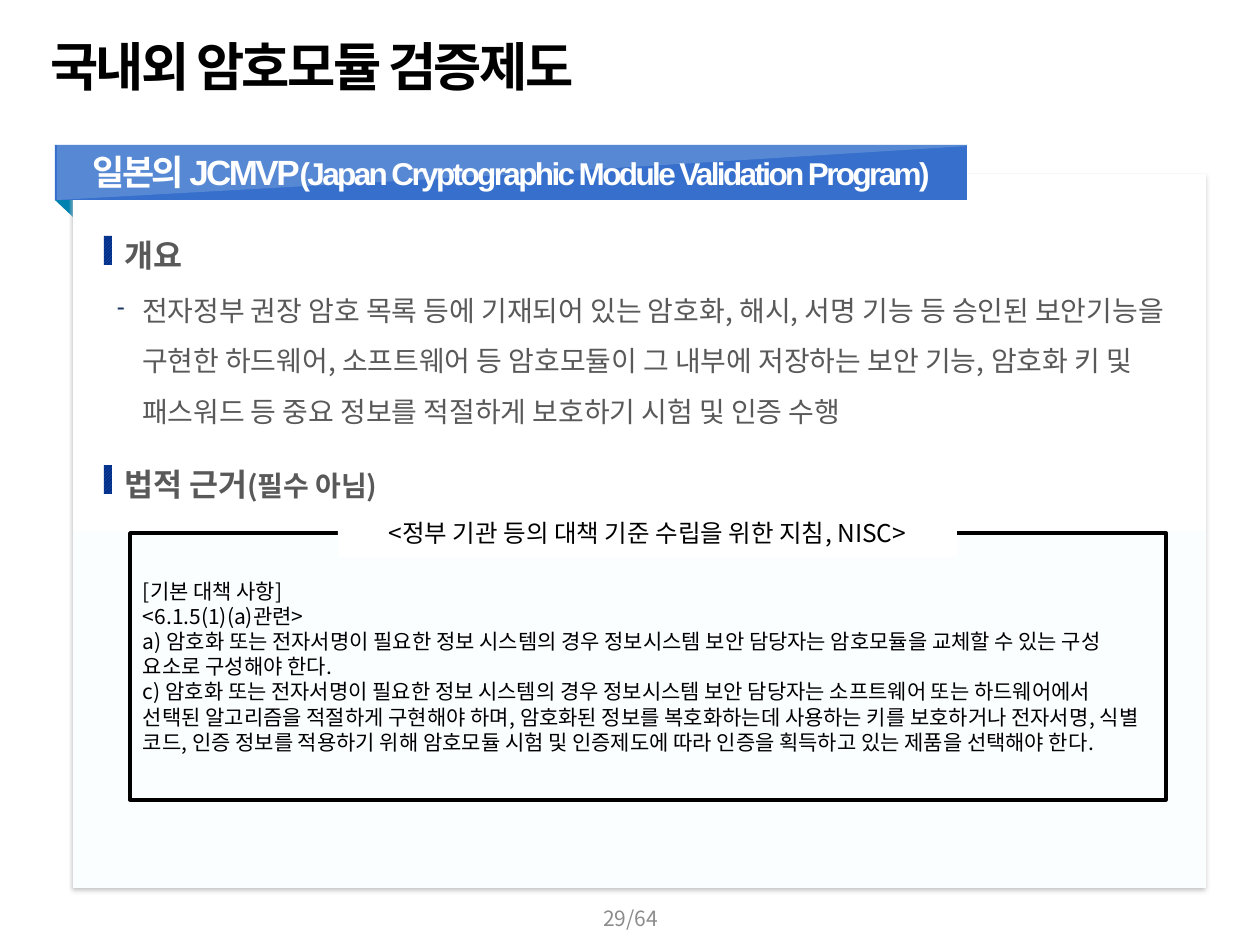
from lxml import etree
from pptx import Presentation
from pptx.dml.color import RGBColor
from pptx.enum.dml import MSO_PATTERN
from pptx.enum.shapes import MSO_SHAPE
from pptx.enum.text import MSO_ANCHOR, PP_ALIGN
from pptx.oxml.ns import qn
from pptx.util import Pt

PX = 7257
RECT = MSO_SHAPE.RECTANGLE
CORNER = MSO_SHAPE.RIGHT_TRIANGLE
DIAG = MSO_PATTERN.LIGHT_UPWARD_DIAGONAL
TOP, MIDDLE = MSO_ANCHOR.TOP, MSO_ANCHOR.MIDDLE
LEFT, CENTER = PP_ALIGN.LEFT, PP_ALIGN.CENTER
SANS, ARIAL = "Noto Sans CJK KR", "Arial"
BLACK, WHITE, GREY = "000000", "FFFFFF", "595959"
INSET = (13, 6, 13, 6)
BODY_INSET = (25, 0, 5, 0)

RULES = [
    "[기본 대책 사항]",
    "<6.1.5(1)(a)관련>",
    "a) 암호화 또는 전자서명이 필요한 정보 시스템의 경우 정보시스템 보안 담당자는 "
    "암호모듈을 교체할 수 있는 구성 요소로 구성해야 한다.",
    "c) 암호화 또는 전자서명이 필요한 정보 시스템의 경우 정보시스템 보안 담당자는 "
    "소프트웨어 또는 하드웨어에서 선택된 알고리즘을 적절하게 구현해야 하며, 암호화된 정보를 "
    "복호화하는데 사용하는 키를 보호하거나 전자서명, 식별 코드, 인증 정보를 적용하기 위해 "
    "암호모듈 시험 및 인증제도에 따라 인증을 획득하고 있는 제품을 선택해야 한다.",
]
SUMMARY = (
    "전자정부 권장 암호 목록 등에 기재되어 있는 암호화, 해시, 서명 기능 등 승인된 "
    "보안기능을 구현한 하드웨어, 소프트웨어 등 암호모듈이 그 내부에 저장하는 보안 기능, "
    "암호화 키 및 패스워드 등 중요 정보를 적절하게 보호하기 시험 및 인증 수행"
)


def color(code):
    return RGBColor.from_string(code)


def scale(box):
    return [n * PX for n in box]


def node(parent, tag, **attrs):
    item = etree.SubElement(parent, qn(tag))
    for key, value in attrs.items():
        item.set(key, str(value))
    return item


def add_shape(shapes, box, fill=None, line=None, kind=RECT):
    shape = shapes.add_shape(kind, *scale(box))
    shape.shadow.inherit = False
    if fill:
        shape.fill.solid()
        shape.fill.fore_color.rgb = color(fill)
    else:
        shape.fill.background()
    if line:
        shape.line.color.rgb = color(line)
        shape.line.width = Pt(2)
    else:
        shape.line.fill.background()
    return shape


def set_frame(shape, inset=INSET, anchor=TOP, wrap=True):
    frame = shape.text_frame
    frame.word_wrap = wrap
    frame.vertical_anchor = anchor
    (frame.margin_left, frame.margin_top,
     frame.margin_right, frame.margin_bottom) = scale(inset)
    return frame


def add_box(shapes, box, **opts):
    return set_frame(shapes.add_textbox(*scale(box)), **opts)


def style(para, size, code, name=SANS, bold=False, align=LEFT, tight=False):
    para.alignment = align
    font = para.font
    font.size, font.name, font.bold = Pt(size), name, bold
    font.color.rgb = color(code)
    props = para._p.pPr.find(qn("a:defRPr"))
    node(props, "a:ea", typeface=SANS)
    if tight:
        props.set("spc", "-150")


def add_run(para, text, size=None):
    run = para.add_run()
    run.text = text
    if size:
        run.font.size = Pt(size)


def add_head(shapes, top, height, text, note=None):
    """Section heading with its striped marker; returns the text frame."""
    frame = add_box(shapes, (92, top, 1095, height), inset=BODY_INSET)
    para = frame.paragraphs[0]
    add_run(para, text)
    if note:
        add_run(para, note, 16)
    para.line_spacing = 1.2
    style(para, 18, GREY, bold=True)
    mark = add_shape(shapes, (104, top + 8, 8, 29))
    mark.fill.patterned()
    mark.fill.pattern = DIAG
    mark.fill.fore_color.rgb = color("2E64B4")
    mark.fill.back_color.rgb = color("002D89")
    return frame


def add_dash(frame, text):
    para = frame.add_paragraph()
    add_run(para, text)
    para.line_spacing, para.space_before = 1.5, Pt(2)
    props = para._p.get_or_add_pPr()
    props.set("marL", str(25 * PX))
    props.set("indent", str(-25 * PX))
    node(node(props, "a:buClr"), "a:srgbClr", val="19345F")
    node(props, "a:buSzPct", val=80000)
    node(props, "a:buChar", char="-")
    node(node(props, "a:tabLst"), "a:tab", pos=25 * PX, algn="l")
    style(para, 16, GREY)


def add_card(shapes):
    card = add_shape(shapes, (73, 174, 1133, 714), WHITE)
    card.fill.gradient()
    card.fill.gradient_angle = 270
    for stop, code in zip(card.fill.gradient_stops, (WHITE, "FBFEFF")):
        stop.color.rgb = color(code)
    effects = card._element.spPr.find(qn("a:effectLst"))
    shade = node(effects, "a:outerShdw", blurRad=Pt(2), dist=Pt(2),
                 dir=5400000, algn="t", rotWithShape=0)
    node(shade, "a:srgbClr", val="BFBFBF")


def add_ribbon(shapes):
    group = shapes.add_group_shape().shapes
    add_shape(group, (55, 145, 912, 55), "3670CC")
    path = group.build_freeform(57, 145, scale=PX)
    path.add_line_segments([(984, 145), (486, 176), (57, 200)])
    gloss = path.convert_to_shape()
    gloss.shadow.inherit = False
    gloss.fill.solid()
    gloss.fill.fore_color.rgb = color(WHITE)
    gloss.line.fill.background()
    tone = gloss._element.spPr.find(qn("a:solidFill"))[0]
    node(tone, "a:alpha", val=17000)
    frame = add_box(group, (81, 150, 860, 42), inset=(0, 0, 0, 0),
                    anchor=MIDDLE, wrap=False)
    para = frame.paragraphs[0]
    add_run(para, "일본의 JCMVP")
    add_run(para, "(Japan Cryptographic Module Validation Program)", 18)
    style(para, 20, WHITE, ARIAL, True, CENTER, tight=True)


def add_rules(shapes):
    panel = add_shape(shapes, (130, 533, 1036, 267), line=BLACK)
    frame = set_frame(panel, anchor=MIDDLE)
    frame.text = "\n".join(RULES)
    for para in frame.paragraphs:
        style(para, 12, BLACK)
    label = add_shape(shapes, (338, 508, 619, 49), WHITE)
    frame = set_frame(label, anchor=MIDDLE)
    frame.text = "<정부 기관 등의 대책 기준 수립을 위한 지침, NISC>"
    style(frame.paragraphs[0], 14, BLACK, align=CENTER)


def main():
    deck = Presentation()
    deck.slide_width, deck.slide_height = scale((1260, 945))
    shapes = deck.slides.add_slide(deck.slide_layouts[6]).shapes

    fold = add_shape(shapes, (55, 200, 36, 34), "0082B0", kind=CORNER)
    fold.rotation = 180
    add_card(shapes)
    add_dash(add_head(shapes, 228, 195, " 개요"), SUMMARY)
    add_head(shapes, 457, 42, " 법적 근거", "(필수 아님)")
    add_rules(shapes)

    title = add_box(shapes, (30, 28, 640, 72), inset=(20, 6, 13, 6))
    title.text = "국내외 암호모듈 검증제도"
    style(title.paragraphs[0], 30, BLACK, ARIAL, True, tight=True)
    add_ribbon(shapes)
    page = add_box(shapes, (489, 893, 283, 50), anchor=MIDDLE)
    page.text = "29/64"
    style(page.paragraphs[0], 12, "8C8C8C", align=CENTER)
    deck.save("out.pptx")


if __name__ == "__main__":
    main()
